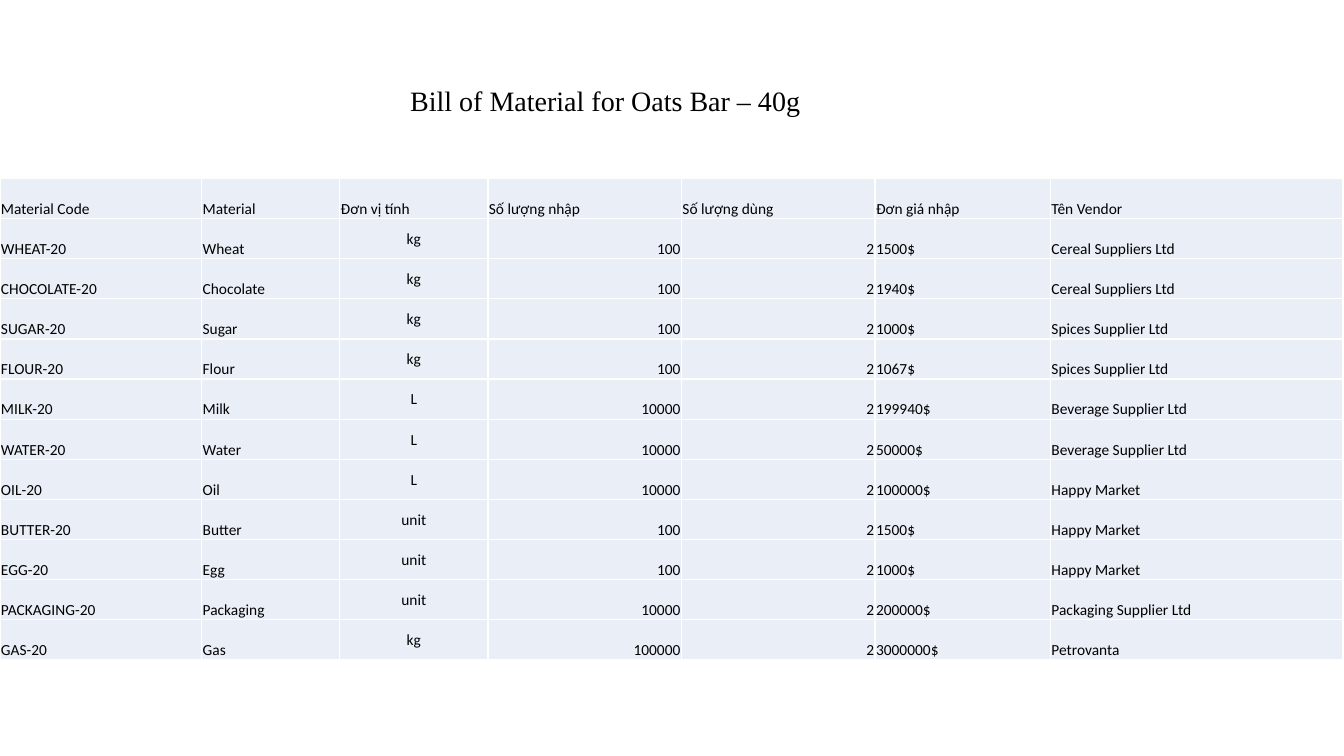
from lxml.etree import SubElement
from pptx import Presentation
from pptx.dml.color import RGBColor
from pptx.enum.text import MSO_ANCHOR, MSO_AUTO_SIZE, PP_ALIGN
from pptx.oxml.ns import qn
from pptx.util import Inches, Pt

# Content
TITLE = "Bill of Material for Oats Bar – 40g"
HEADINGS = ("Material Code", "Material", "Đơn vị tính", "Số lượng nhập",
            "Số lượng dùng", "Đơn giá nhập", "Tên Vendor")
MATERIALS = [
    ("WHEAT-20", "Wheat", "kg", "100", "2", "1500$", "Cereal Suppliers Ltd"),
    ("CHOCOLATE-20", "Chocolate", "kg", "100", "2", "1940$", "Cereal Suppliers Ltd"),
    ("SUGAR-20", "Sugar", "kg", "100", "2", "1000$", "Spices Supplier Ltd"),
    ("FLOUR-20", "Flour", "kg", "100", "2", "1067$", "Spices Supplier Ltd"),
    ("MILK-20", "Milk", "L", "10000", "2", "199940$", "Beverage Supplier Ltd"),
    ("WATER-20", "Water", "L", "10000", "2", "50000$", "Beverage Supplier Ltd"),
    ("OIL-20", "Oil", "L", "10000", "2", "100000$", "Happy Market"),
    ("BUTTER-20", "Butter", "unit", "100", "2", "1500$", "Happy Market"),
    ("EGG-20", "Egg", "unit", "100", "2", "1000$", "Happy Market"),
    ("PACKAGING-20", "Packaging", "unit", "10000", "2", "200000$", "Packaging Supplier Ltd"),
    ("GAS-20", "Gas", "kg", "100000", "2", "3000000$", "Petrovanta"),
]

# Theme and layout
THEME = {
    "ink": RGBColor(0, 0, 0), "cell": RGBColor(0xEA, 0xEF, 0xF7), "grid": "FFFFFF",
    "title_font": "Times New Roman", "title_size": Pt(20),
    "table_font": "Calibri", "table_size": Pt(11), "grid_width": Pt(1),
}
COLUMN_WIDTHS = (2, 1.37, 1.47, 1.92, 1.92, 1.74, 2.9)
TABLE_TOP, TABLE_HEIGHT = 1.77, 4.78
UNIT_COLUMN = 2
BODY_ALIGNMENT = {UNIT_COLUMN: PP_ALIGN.CENTER, 3: PP_ALIGN.RIGHT, 4: PP_ALIGN.RIGHT}
CELL_FORMAT = {"margin_left": Inches(0.01), "margin_right": Inches(0.01),
               "margin_top": Inches(0.01), "margin_bottom": 0}


def apply(target, values):
    for name, value in values.items():
        setattr(target, name, value)


def style_font(font, role):
    apply(font, {"name": THEME[f"{role}_font"], "size": THEME[f"{role}_size"]})
    font.color.rgb = THEME["ink"]


def add_grid(cell):
    properties = cell._tc.get_or_add_tcPr()
    for side in ("lnL", "lnR", "lnT", "lnB"):
        border = SubElement(properties, qn(f"a:{side}"), w=str(THEME["grid_width"]))
        paint = SubElement(border, qn("a:solidFill"))
        SubElement(paint, qn("a:srgbClr"), val=THEME["grid"])


def main():
    deck = Presentation()
    apply(deck, {"slide_width": Inches(13.33), "slide_height": Inches(7.5)})
    slide = deck.slides.add_slide(deck.slide_layouts[6])

    # Bill of material table
    rows = [HEADINGS, *MATERIALS]
    bill = slide.shapes.add_table(
        len(rows), len(HEADINGS), 0, Inches(TABLE_TOP),
        Inches(sum(COLUMN_WIDTHS)), Inches(TABLE_HEIGHT)).table
    apply(bill, {"first_row": False, "horz_banding": False})
    for column, width in zip(bill.columns, COLUMN_WIDTHS):
        column.width = Inches(width)

    for r, row in enumerate(rows):
        for c, text in enumerate(row):
            cell = bill.cell(r, c)
            is_unit = r > 0 and c == UNIT_COLUMN
            apply(cell, CELL_FORMAT)
            cell.vertical_anchor = MSO_ANCHOR.MIDDLE if is_unit else MSO_ANCHOR.BOTTOM
            add_grid(cell)
            cell.fill.solid()
            cell.fill.fore_color.rgb = THEME["cell"]
            cell.text = text
            paragraph = cell.text_frame.paragraphs[0]
            if r > 0 and c in BODY_ALIGNMENT:
                paragraph.alignment = BODY_ALIGNMENT[c]
            style_font(paragraph.runs[0].font, "table")

    # Title
    title = slide.shapes.add_textbox(
        Inches(3.97), Inches(0.78), Inches(4.1), Inches(0.44)).text_frame
    apply(title, {"text": TITLE, "word_wrap": False,
                  "auto_size": MSO_AUTO_SIZE.SHAPE_TO_FIT_TEXT})
    style_font(title.paragraphs[0].runs[0].font, "title")

    deck.save("out.pptx")


if __name__ == "__main__":
    main()
